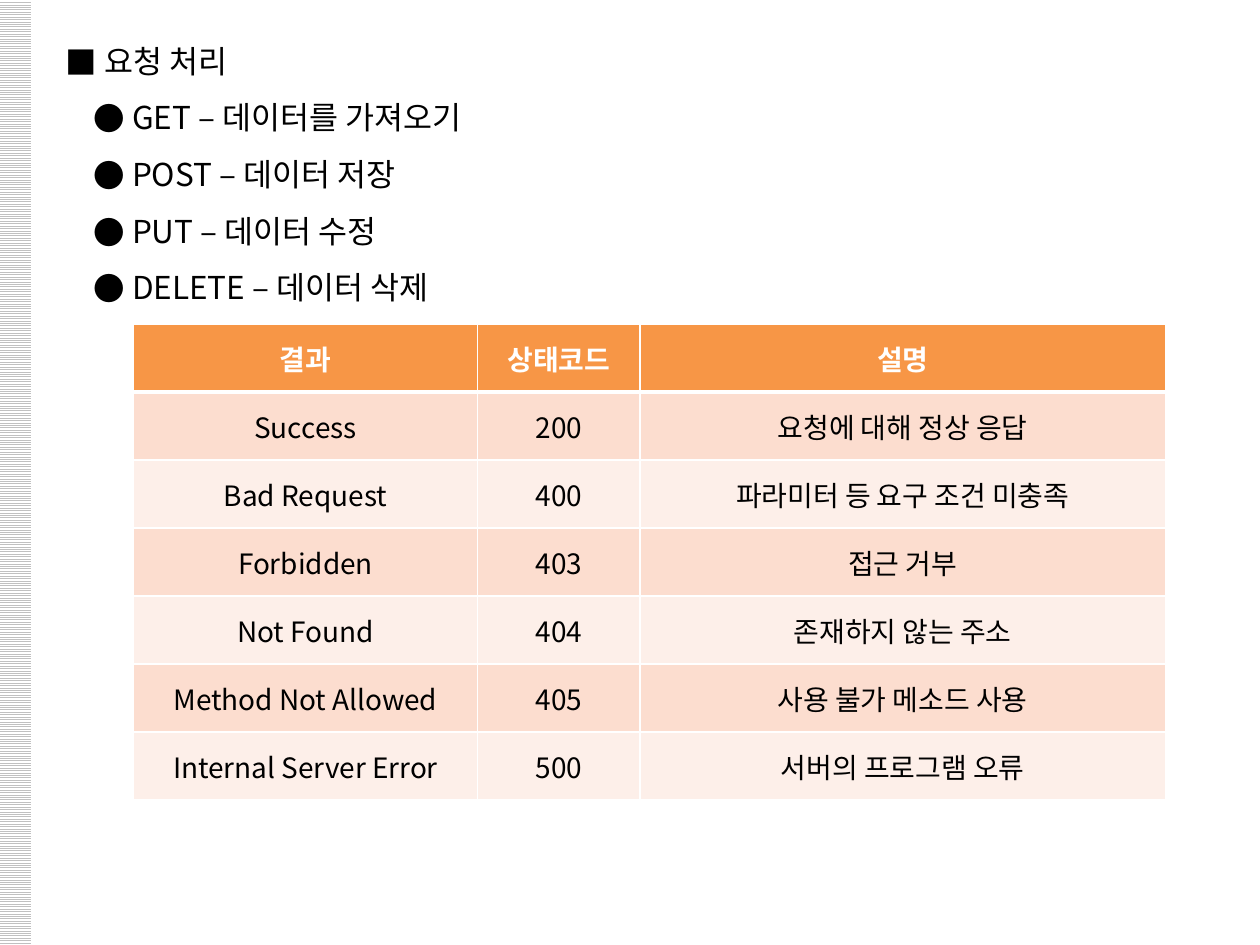
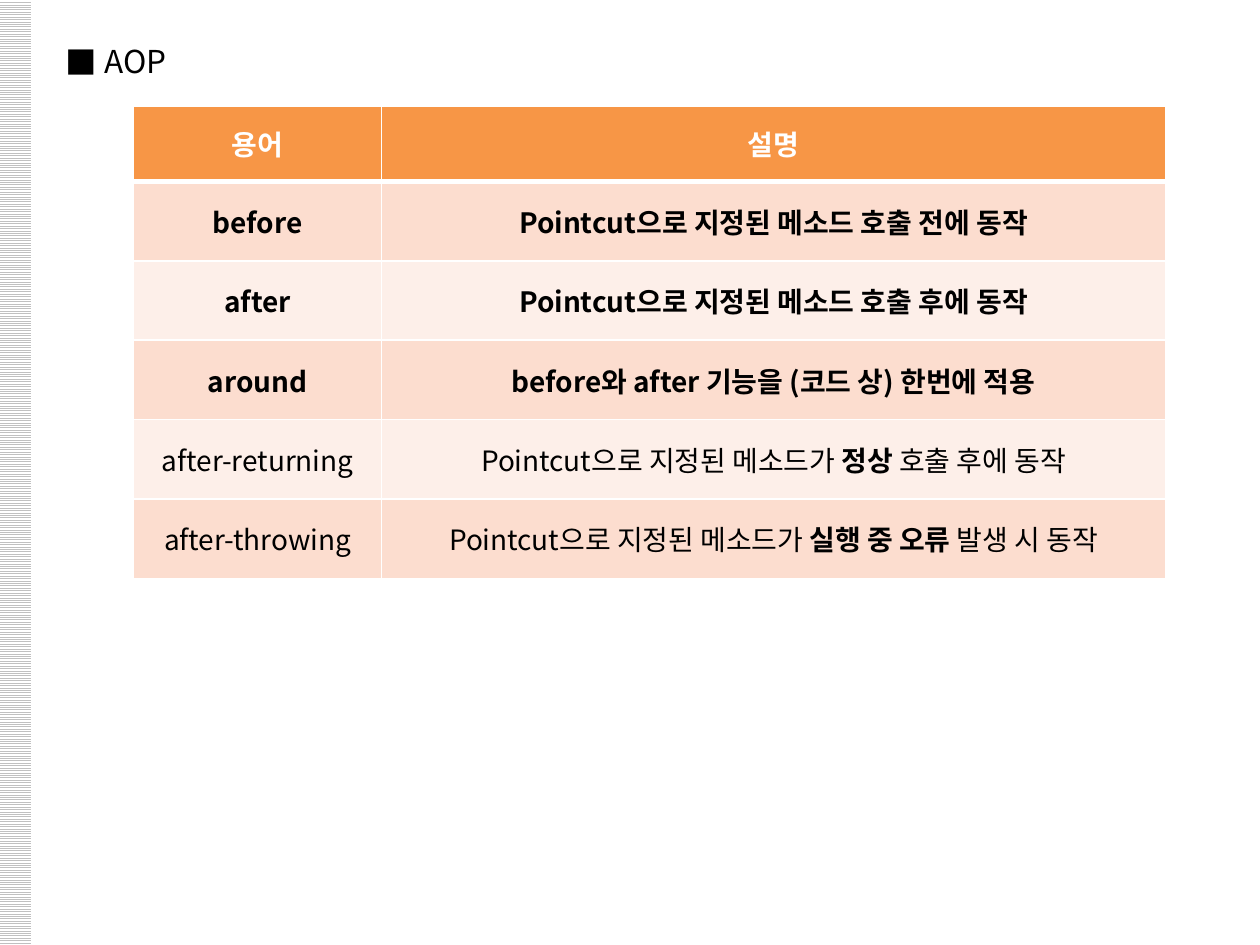
from dataclasses import dataclass
from lxml import etree
from pptx import Presentation
from pptx.dml.color import RGBColor
from pptx.enum import dml, shapes, text
from pptx.oxml import ns
from pptx.util import Inches, Pt


@dataclass(frozen=True)
class Theme:
    font: str = "Noto Sans CJK KR"
    black: RGBColor = RGBColor(0, 0, 0)
    white: RGBColor = RGBColor(255, 255, 255)
    hatch: RGBColor = RGBColor(0xC0, 0xC0, 0xC0)
    header: RGBColor = RGBColor(0xF7, 0x96, 0x46)
    rows: tuple = (RGBColor(0xFC, 0xDD, 0xCF), RGBColor(0xFD, 0xEF, 0xE9))
    body_size: int = 18
    table_size: int = 16


theme = Theme()


def style_run(r, size, color, bold=False):
    r.font.size = Pt(size)
    r.font.bold = bold
    r.font.color.rgb = color
    r.font.name = theme.font
    latin = r.font.fill and r._r.get_or_add_rPr().find(ns.qn("a:latin"))
    ea = etree.Element(ns.qn("a:ea"), typeface=theme.font)
    latin.addnext(ea)


def write_bullets(sp, lines, bullet, margin):
    tf = sp.text_frame
    tf.text = "\n".join(lines)
    tf.word_wrap = False
    tf.auto_size = text.MSO_AUTO_SIZE.NONE
    tf.vertical_anchor = text.MSO_ANCHOR.TOP
    for p in tf.paragraphs:
        pPr = p._p.get_or_add_pPr()
        pPr.set("marL", str(Inches(margin)))
        pPr.set("indent", str(Inches(-0.31)))
        etree.SubElement(pPr, ns.qn("a:buFont"), typeface=theme.font)
        etree.SubElement(pPr, ns.qn("a:buChar"), char=bullet)
        p.alignment = text.PP_ALIGN.LEFT
        p.line_spacing = 1.5
        p.space_before = Pt(0)
        for r in p.runs:
            style_run(r, theme.body_size, theme.black)


pages = [
    {
        "title": "요청 처리",
        "title_width": 1.5,
        "methods": ["GET – 데이터를 가져오기", "POST – 데이터 저장",
                    "PUT – 데이터 수정", "DELETE – 데이터 삭제"],
        "top": 2.57,
        "cols": [2.73, 1.29, 4.17],
        "heights": [0.54] * 7,
        "rows": [
            ["*결과*", "*상태코드*", "*설명*"],
            ["Success", "200", "요청에 대해 정상 응답"],
            ["Bad Request", "400", "파라미터 등 요구 조건 미충족"],
            ["Forbidden", "403", "접근 거부"],
            ["Not Found", "404", "존재하지 않는 주소"],
            ["Method Not Allowed", "405", "사용 불가 메소드 사용"],
            ["Internal Server Error", "500", "서버의 프로그램 오류"],
        ],
    },
    {
        "title": "AOP",
        "title_width": 1.05,
        "methods": [],
        "top": 0.84,
        "cols": [1.97, 6.22],
        "heights": [0.6] + [0.63] * 5,
        "rows": [
            ["*용어*", "*설명*"],
            ["*before*", "*Pointcut으로 지정된 메소드 호출 전에 동작*"],
            ["*after*", "*Pointcut으로 지정된 메소드 호출 후에 동작*"],
            ["*around*", "*before와 after 기능을 (코드 상) 한번에 적용*"],
            ["after-returning", "Pointcut으로 지정된 메소드가 *정상 *호출 후에 동작"],
            ["after-throwing", "Pointcut으로 지정된 메소드가 *실행 중 오류* 발생 시 동작"],
        ],
    },
]

prs = Presentation()
prs.slide_width, prs.slide_height = Inches(10), Inches(7.5)
layout = prs.slide_layouts[5]

for index, page in enumerate(pages):
    s = prs.slides.add_slide(layout)

    if index == 0:
        band = s.shapes.add_shape(shapes.MSO_SHAPE.RECTANGLE, Inches(-0.01), 0,
                                  Inches(0.26), Inches(7.5))
        band.shadow.inherit = False
        band.line.fill.background()
        band.fill.patterned()
        band.fill.pattern = dml.MSO_PATTERN.LIGHT_HORIZONTAL
        band.fill.fore_color.rgb = theme.hatch
        band.fill.back_color.rgb = theme.white
        band.element.nvSpPr.cNvPr.set("id", "100")
        prs.slide_master.element.cSld.spTree.insert(2, band.element)

    title = s.shapes.title
    title.left, title.top = Inches(0.42), Inches(0.13)
    title.width, title.height = Inches(page["title_width"]), Inches(0.5)
    write_bullets(title, [page["title"]], "■", 0.31)

    if page["methods"]:
        sp = s.shapes.add_textbox(Inches(0.42), Inches(0.58), Inches(3.76), Inches(1.86))
        write_bullets(sp, page["methods"], "●", 0.53)

    rows, cols, heights = page["rows"], page["cols"], page["heights"]
    table = s.shapes.add_table(len(rows), len(cols), Inches(1.06), Inches(page["top"]),
                               Inches(sum(cols)), Inches(sum(heights))).table
    table.horz_banding = False
    for column, width in zip(table.columns, cols):
        column.width = Inches(width)
    for i, (row, height) in enumerate(zip(rows, heights)):
        table.rows[i].height = Inches(height)
        for j, value in enumerate(row):
            cell = table.cell(i, j)
            tcPr = cell._tc.get_or_add_tcPr()
            for side in ("lnL", "lnR", "lnT", "lnB"):
                thick = (i, side) in ((0, "lnB"), (1, "lnT"))
                ln = etree.SubElement(tcPr, ns.qn("a:" + side), w=str(Pt(3 if thick else 1)))
                fill = etree.SubElement(ln, ns.qn("a:solidFill"))
                etree.SubElement(fill, ns.qn("a:srgbClr"), val=str(theme.white))
            cell.fill.solid()
            cell.fill.fore_color.rgb = theme.rows[(i - 1) % 2] if i else theme.header
            cell.vertical_anchor = text.MSO_ANCHOR.MIDDLE
            p = cell.text_frame.paragraphs[0]
            p.alignment = text.PP_ALIGN.CENTER
            for k, part in enumerate(value.split("*")):
                if part:
                    r = p.add_run()
                    r.text = part
                    style_run(r, theme.table_size, theme.black if i else theme.white, k % 2 == 1)

prs.save("out.pptx")
